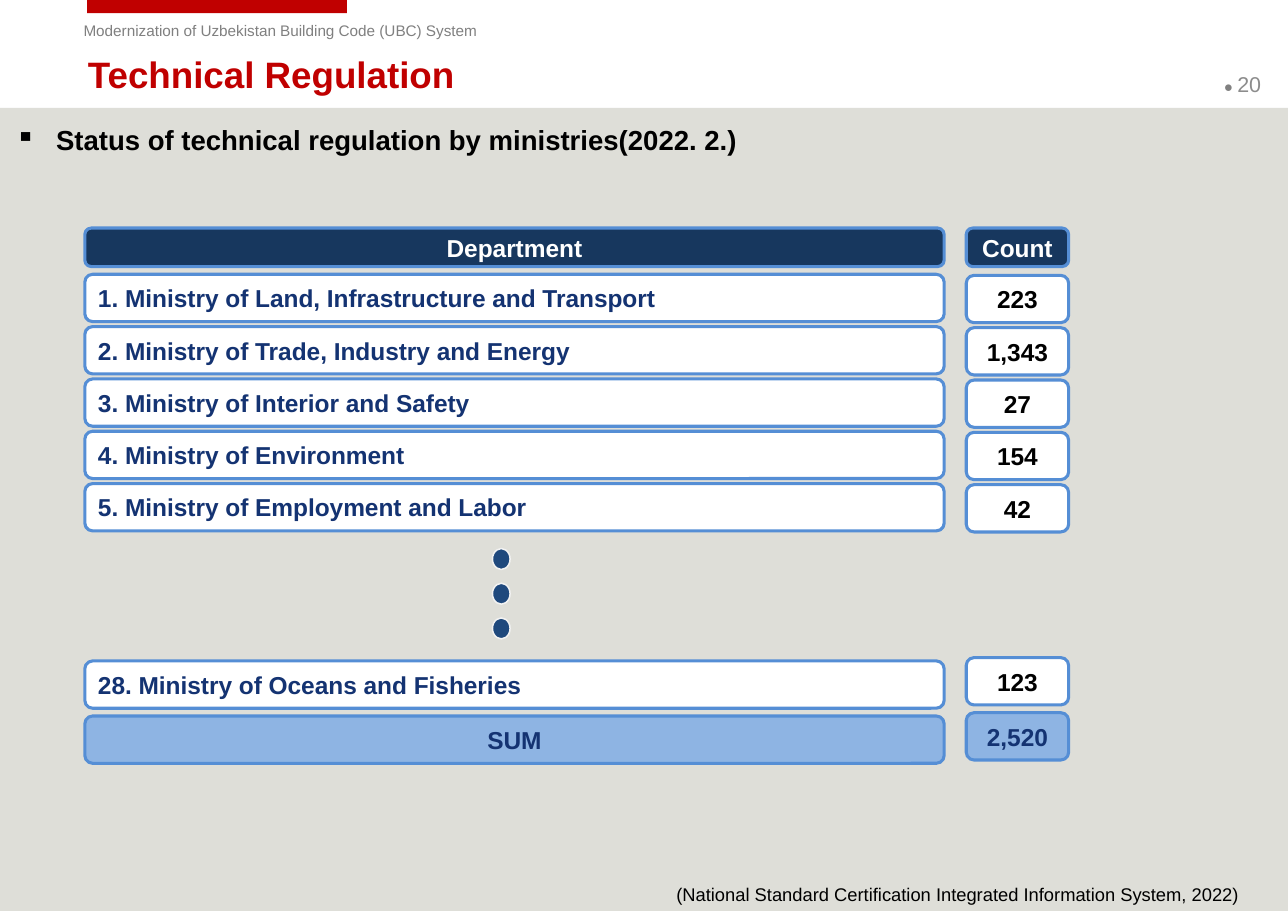
from dataclasses import dataclass
from lxml.etree import SubElement
from pptx import Presentation
from pptx.dml.color import RGBColor
from pptx.enum.shapes import MSO_SHAPE
from pptx.enum.text import MSO_ANCHOR, PP_ALIGN
from pptx.oxml.ns import qn
from pptx.util import Inches, Pt


@dataclass(frozen=True)
class Theme:
    font: str = "Arial"
    red: str = "C00000"
    gray: str = "808080"
    pale: str = "8C8C8C"
    panel: str = "DEDED8"
    white: str = "FFFFFF"
    black: str = "000000"
    navy: str = "17375E"
    ink: str = "143372"
    edge: str = "558ED5"
    sky: str = "8EB4E3"
    dot: str = "1F497D"
    rim: str = "F2F2F2"
    mark: int = 10
    note: int = 12
    page: int = 14
    cell: int = 16
    lead: int = 18
    title: int = 24


T = Theme()

# Label, count, distance below the table's top, shift of the count cell
STEP = 0.475
NAMES = [
    ("1. Ministry of Land, Infrastructure and Transport", "223"),
    ("2. Ministry of Trade, Industry and Energy", "1,343"),
    ("3. Ministry of Interior and Safety", "27"),
    ("4. Ministry of Environment", "154"),
    ("5. Ministry of Employment and Labor", "42"),
]
ROWS = [(name, count, 0.42 + i * STEP, 0.01)
        for i, (name, count) in enumerate(NAMES)]
ROWS.append(("28. Ministry of Oceans and Fisheries", "123", 3.93, -0.03))


def style(font, size, color, bold=False):
    font.name, font.size, font.bold = T.font, Pt(size), bold
    font.color.rgb = RGBColor.from_string(color)


def add_form(slide, kind, box, fill, line=None, width=1):
    form = slide.shapes.add_shape(kind, *map(Inches, box))
    form.shadow.inherit = False
    form.fill.solid()
    form.fill.fore_color.rgb = RGBColor.from_string(fill)
    if line:
        form.line.color.rgb = RGBColor.from_string(line)
        form.line.width = Pt(width)
    else:
        form.line.fill.background()
    return form


def add_text(slide, box, text, size, color, bold=False, anchor=MSO_ANCHOR.TOP):
    frame = slide.shapes.add_textbox(*map(Inches, box)).text_frame
    frame.word_wrap = True
    frame.vertical_anchor = anchor
    para = frame.paragraphs[0]
    para.text = text
    style(para.font, size, color, bold)
    return para


def add_cell(slide, box, text, fill, color, align=PP_ALIGN.CENTER):
    form = add_form(slide, MSO_SHAPE.ROUNDED_RECTANGLE, box, fill, T.edge, 2)
    frame = form.text_frame
    frame.word_wrap = True
    frame.vertical_anchor = MSO_ANCHOR.MIDDLE
    para = frame.paragraphs[0]
    para.text, para.alignment = text, align
    style(para.font, T.cell, color, True)


def add_header(slide, box):
    x, y, w, h = box
    add_form(slide, MSO_SHAPE.RECTANGLE, (x + 0.79, y, 2.36, 0.12), T.red)
    add_text(slide, (x + 0.66, y + 0.14, 4.68, 0.27),
             "Modernization of Uzbekistan Building Code (UBC) System",
             T.mark, T.gray)
    add_text(slide, (x + 0.7, y + 0.47, 10.4, 0.4), "Technical Regulation",
             T.title, T.red, True, MSO_ANCHOR.MIDDLE)
    # Page number
    para = add_text(slide, (x + w - 0.68, y + h - 0.44, 0.69, 0.44), "● ",
                    T.mark, T.gray, anchor=MSO_ANCHOR.MIDDLE)
    run = para.add_run()
    run.text = "20"
    style(run.font, T.page, T.pale)


def add_lead(slide, box):
    para = add_text(slide, box, "", T.lead, T.black, True)
    para.text = "Status of technical regulation by ministries(2022. 2.)"
    props = para._p.get_or_add_pPr()
    props.set("marL", str(Inches(0.37)))
    props.set("indent", str(-Inches(0.37)))
    bullet = props.makeelement(qn("a:buChar"), {"char": "▪"})
    props.insert(0, bullet)


def add_list(slide, box):
    x, y, w, h = box
    wide, slim, tall = 7.8, 0.93, 0.43
    side = x + w - slim
    # Heading
    add_cell(slide, (x, y, wide, 0.35), "Department", T.navy, T.white)
    add_cell(slide, (side, y, slim, 0.35), "Count", T.navy, T.white)
    # Ministries
    for name, count, down, shift in ROWS:
        add_cell(slide, (x, y + down, wide, tall), name, T.white, T.ink,
                 PP_ALIGN.LEFT)
        add_cell(slide, (side, y + down + shift, slim, tall), count,
                 T.white, T.black)
    # Total
    foot = y + h - tall
    add_cell(slide, (x, foot, wide, tall), "SUM", T.sky, T.ink)
    add_cell(slide, (side, foot - 0.03, slim, tall), "2,520", T.sky, T.ink)
    # Dots for the ministries left out
    for i in range(3):
        add_form(slide, MSO_SHAPE.OVAL,
                 (x + 3.7, y + 2.91 + i * 0.315, 0.16, 0.19), T.dot, T.rim)


def main():
    deck = Presentation()
    deck.slide_width, deck.slide_height = Inches(11.69), Inches(8.27)
    slide = deck.slides.add_slide(deck.slide_layouts[6])
    add_form(slide, MSO_SHAPE.RECTANGLE, (0, 0.98, 11.69, 7.29), T.panel)
    add_header(slide, (0, 0, 11.69, 0.98))
    add_lead(slide, (0.04, 1.07, 11.38, 0.45))
    add_list(slide, (0.77, 2.07, 8.93, 4.86))
    # Reference
    add_text(slide, (6.04, 7.97, 5.63, 0.3),
             "(National Standard Certification Integrated Information System, 2022)",
             T.note, T.black)
    deck.save("out.pptx")


if __name__ == "__main__":
    main()
